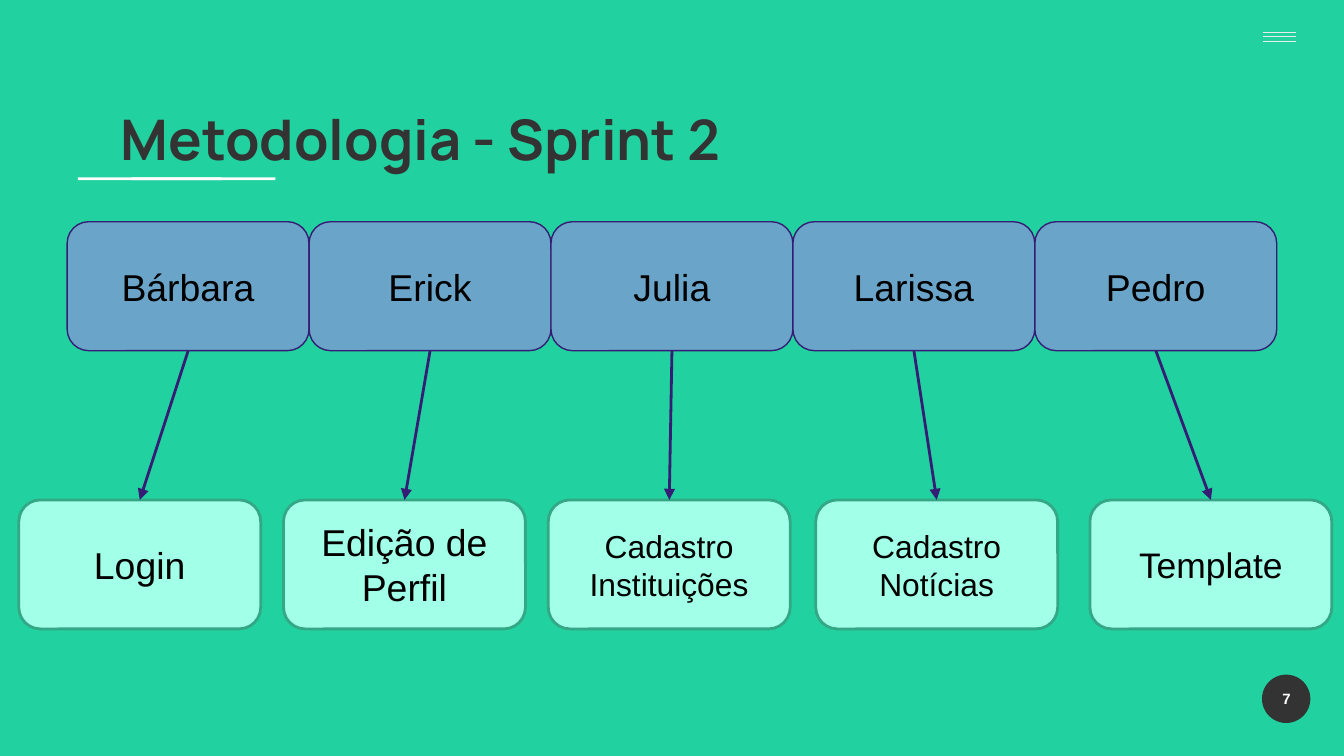
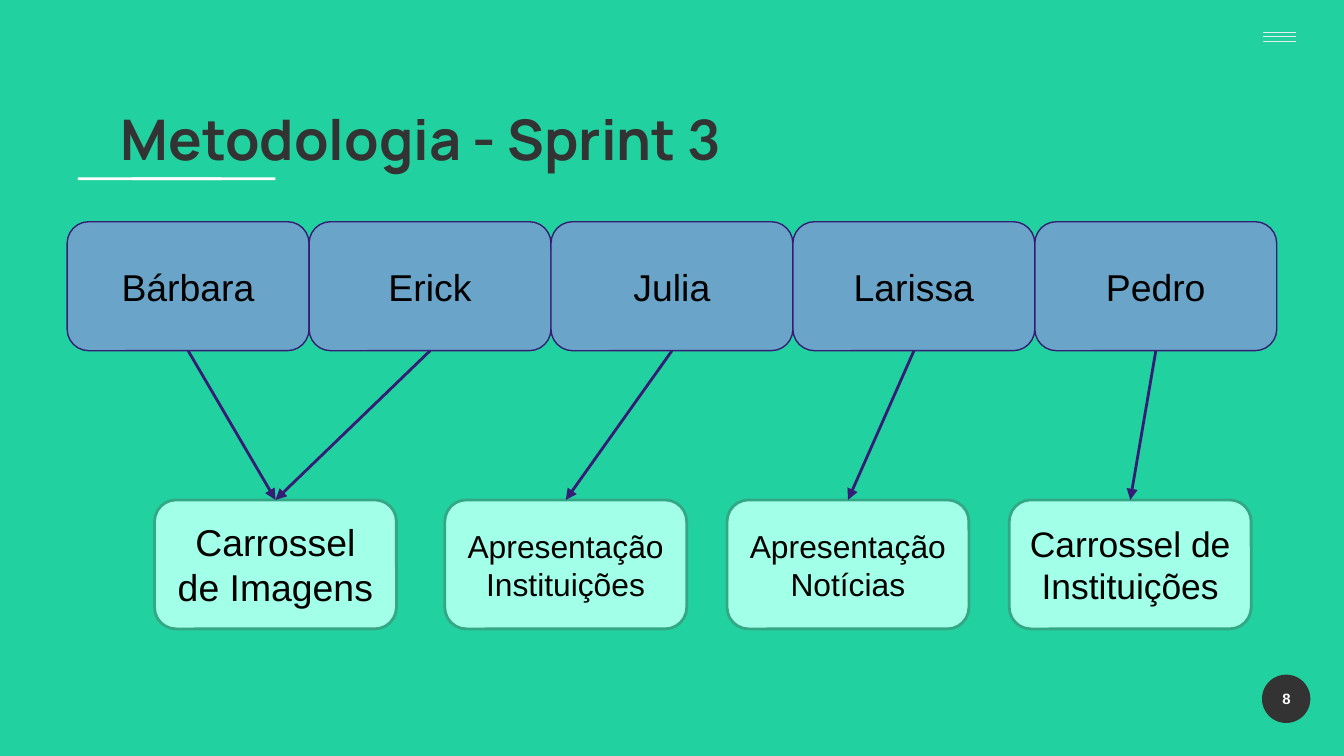
from dataclasses import dataclass

from pptx import Presentation
from pptx.dml.color import RGBColor
from pptx.enum.shapes import MSO_CONNECTOR, MSO_SHAPE
from pptx.enum.text import MSO_ANCHOR, MSO_AUTO_SIZE, PP_ALIGN
from pptx.oxml.ns import qn
from pptx.util import Inches, Pt
from lxml import etree

STRAIGHT = MSO_CONNECTOR.STRAIGHT
RECTANGLE, ROUNDED, OVAL = MSO_SHAPE.RECTANGLE, MSO_SHAPE.ROUNDED_RECTANGLE, MSO_SHAPE.OVAL
TOP, MIDDLE = MSO_ANCHOR.TOP, MSO_ANCHOR.MIDDLE
LEFT, CENTER = PP_ALIGN.LEFT, PP_ALIGN.CENTER
TOP_SIDE, BOTTOM_SIDE = 0, 2
TITLE_ONLY = 5


@dataclass(frozen=True)
class Theme:
    background: str = "21D19F"
    dark: str = "333333"
    white: str = "FFFFFF"
    black: str = "000000"
    menu: str = "E9EDEE"
    member: str = "6AA4C8"
    purple: str = "351C75"
    task: str = "A2FFE8"
    task_border: str = "34A786"
    title_font: str = "Manrope"
    digit_font: str = "Lato"
    body_font: str = "Arial"
    title_size: int = 30
    box_size: int = 20
    medium_size: int = 19
    small_size: int = 17
    page_size: int = 8
    thin: float = 0.75
    thick: float = 1.5


THEME = Theme()
TITLE = "Metodologia - Sprint "
MEMBERS = ["Bárbara", "Erick", "Julia", "Larissa", "Pedro"]
SPRINTS = [
    {"number": "2", "page": "7", "tasks": [
        ("Login", 0.14, THEME.box_size, ["Bárbara"]),
        ("Edição de Perfil", 2.11, THEME.box_size, ["Erick"]),
        ("Cadastro Instituições", 4.08, THEME.small_size, ["Julia"]),
        ("Cadastro\nNotícias", 6.07, THEME.small_size, ["Larissa"]),
        ("Template", 8.11, THEME.medium_size, ["Pedro"]),
    ]},
    {"number": "3", "page": "8", "tasks": [
        ("Carrossel de Imagens", 1.15, THEME.box_size, ["Bárbara", "Erick"]),
        ("Apresentação Instituições", 3.31, THEME.small_size, ["Julia"]),
        ("Apresentação Notícias", 5.41, THEME.small_size, ["Larissa"]),
        ("Carrossel de Instituições", 7.51, THEME.medium_size, ["Pedro"]),
    ]},
]

SLIDE_WIDTH = 10
SLIDE_HEIGHT = SLIDE_WIDTH * 9 / 16
BOX_WIDTH, BOX_HEIGHT = 1.8, 0.96
MEMBER_TOP, TASK_TOP = 1.65, 3.72
MEMBER_LEFT = (SLIDE_WIDTH - len(MEMBERS) * BOX_WIDTH) / 2
FRAME_FORMAT = {
    "word_wrap": True, "auto_size": MSO_AUTO_SIZE.NONE,
    "margin_left": Inches(0.1), "margin_right": Inches(0.1),
    "margin_top": Inches(0.1), "margin_bottom": Inches(0.1),
}


def color(value):
    return RGBColor.from_string(value)


def set_attributes(target, values):
    for name, value in values.items():
        setattr(target, name, value)


def format_font(font, name, size, value, bold=False):
    set_attributes(font, {"name": name, "size": Pt(size), "bold": bold})
    font.color.rgb = color(value)


def add_filled(slide, kind, bounds, fill, border=None, width=0):
    shape = slide.shapes.add_shape(kind, *map(Inches, bounds))
    shape.shadow.inherit = False
    shape.fill.solid()
    shape.fill.fore_color.rgb = color(fill)
    if border:
        shape.line.color.rgb = color(border)
        shape.line.width = Pt(width)
    else:
        shape.line.fill.background()
    return shape


def write_centered(shape, text, size, value, bold=False):
    frame = shape.text_frame
    set_attributes(frame, {**FRAME_FORMAT, "vertical_anchor": MIDDLE})
    frame.text = text
    for paragraph in frame.paragraphs:
        paragraph.alignment = CENTER
        format_font(paragraph.runs[0].font, THEME.body_font, size, value, bold)


def add_box(slide, text, left, top, size, fill, border, width):
    shape = add_filled(slide, ROUNDED, (left, top, BOX_WIDTH, BOX_HEIGHT), fill, border, width)
    shape.adjustments[0] = 0.167
    write_centered(shape, text, size, THEME.black)
    return shape


def add_line(slide, start, end, value, width):
    connector = slide.shapes.add_connector(STRAIGHT, *map(Inches, (*start, *end)))
    connector.line.color.rgb = color(value)
    connector.line.width = Pt(width)
    etree.SubElement(connector._element.spPr, qn("a:effectLst"))
    return connector


def add_arrow(slide, member, task):
    connector = add_line(slide, (0, 0), (1, 1), THEME.purple, THEME.thick)
    connector.begin_connect(member, BOTTOM_SIDE)
    connector.end_connect(task, TOP_SIDE)
    etree.SubElement(connector.line._get_or_add_ln(), qn("a:tailEnd"), type="triangle")


def add_title(slide, number):
    title = slide.shapes.title
    set_attributes(title, {"left": Inches(0.8), "top": Inches(0.68),
                           "width": Inches(8.41), "height": Inches(0.87)})
    set_attributes(title.text_frame, {**FRAME_FORMAT, "vertical_anchor": TOP})
    paragraph = title.text_frame.paragraphs[0]
    paragraph.alignment = LEFT
    for text, font in ((TITLE, THEME.title_font), (number, THEME.digit_font)):
        run = paragraph.add_run()
        run.text = text
        format_font(run.font, font, THEME.title_size, THEME.dark, True)


def add_frame(slide, page):
    for left in (0.58, 0.98):
        add_filled(slide, RECTANGLE, (left, 1.32, 1.07, 0.02), THEME.white)
    for height in (0.24, 0.27, 0.31):
        add_line(slide, (9.4, height), (9.64, height), THEME.menu, THEME.thin)
    badge = add_filled(slide, OVAL, (9.39, 5.02, 0.36, 0.36), THEME.dark)
    write_centered(badge, page, THEME.page_size, THEME.white, True)


def add_sprint(presentation, sprint):
    slide = presentation.slides.add_slide(presentation.slide_layouts[TITLE_ONLY])
    add_frame(slide, sprint["page"])
    add_title(slide, sprint["number"])
    members = {
        name: add_box(slide, name, MEMBER_LEFT + index * BOX_WIDTH, MEMBER_TOP,
                      THEME.box_size, THEME.member, THEME.purple, THEME.thin)
        for index, name in enumerate(MEMBERS)
    }
    for text, left, size, owners in sprint["tasks"]:
        task = add_box(slide, text, left, TASK_TOP, size,
                       THEME.task, THEME.task_border, THEME.thick)
        for owner in owners:
            add_arrow(slide, members[owner], task)


def main():
    """Build the sprint slides that link each member to a task."""
    presentation = Presentation()
    presentation.slide_width = Inches(SLIDE_WIDTH)
    presentation.slide_height = Inches(SLIDE_HEIGHT)
    background = presentation.slide_master.background.fill
    background.solid()
    background.fore_color.rgb = color(THEME.background)
    for sprint in SPRINTS:
        add_sprint(presentation, sprint)
    presentation.save("out.pptx")


if __name__ == "__main__":
    main()
